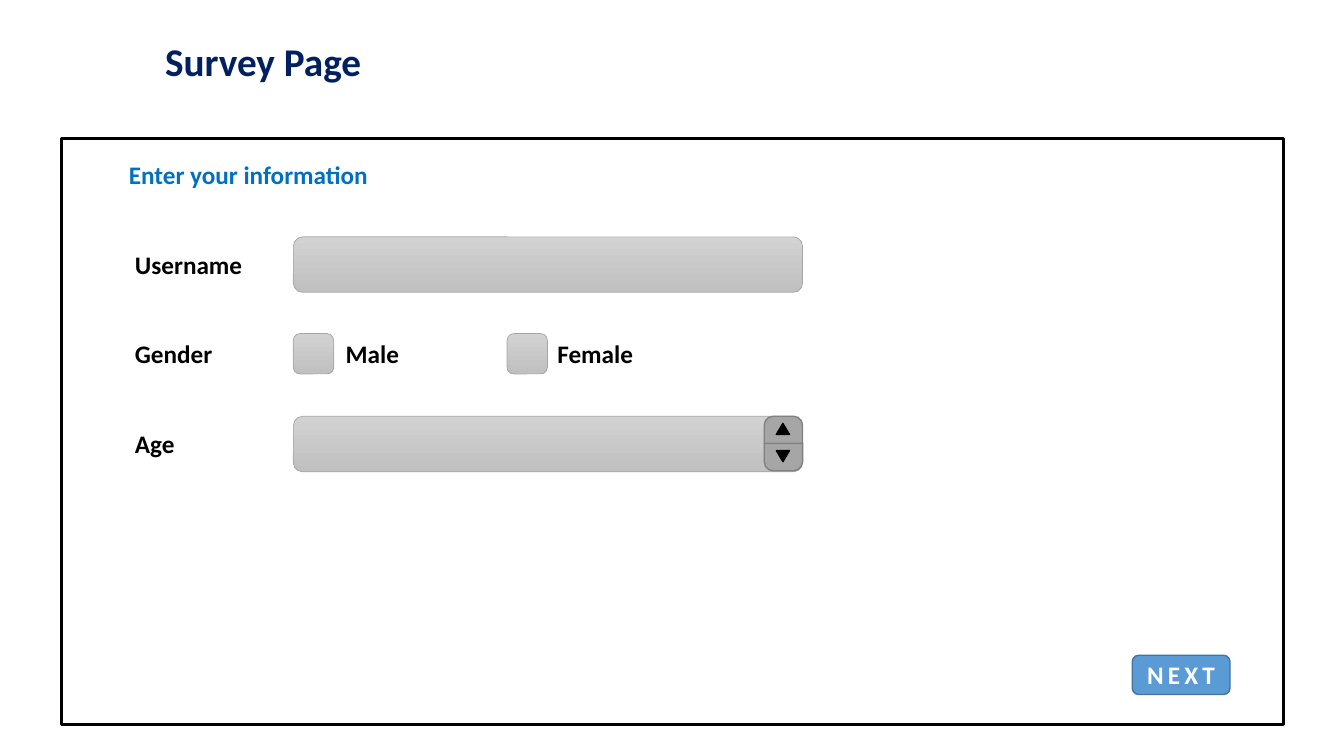
from pptx import Presentation
from pptx.dml.color import RGBColor
from pptx.enum import shapes, text
from pptx.util import Inches, Pt

BLACK = RGBColor(0, 0, 0)
WHITE = RGBColor(255, 255, 255)
NAVY = RGBColor(0x00, 0x20, 0x60)
BLUE = RGBColor(0x00, 0x70, 0xC0)
SKY = RGBColor(0x5B, 0x9B, 0xD5)
STEEL = RGBColor(0x43, 0x73, 0x9E)
PALE = RGBColor(0xD2, 0xD2, 0xD2)
SILVER = RGBColor(0xC0, 0xC0, 0xC0)
GRAY = RGBColor(0xA6, 0xA6, 0xA6)
RIM = RGBColor(0xA5, 0xA5, 0xA5)
EDGE = RGBColor(0x80, 0x80, 0x80)

KIND = shapes.MSO_SHAPE
LEFT = 1.24
FIELD = 2.91
WIDE, HIGH = 5.05, 0.55
BOX = 0.4


def style(para, size, color):
    font = para.runs[0].font
    font.name = "Calibri"
    font.size = Pt(size)
    font.bold = True
    font.color.rgb = color


def add_label(slide, words, x, y, w, h=0.4, size=18, color=BLACK):
    box = slide.shapes.add_textbox(Inches(x), Inches(y), Inches(w), Inches(h))
    frame = box.text_frame
    frame.word_wrap = False
    frame.auto_size = text.MSO_AUTO_SIZE.SHAPE_TO_FIT_TEXT
    frame.text = words
    style(frame.paragraphs[0], size, color)


def add_block(slide, kind, x, y, w, h, fill, line, weight=1):
    """Add a preset shape; a fill of None leaves it hollow."""
    block = slide.shapes.add_shape(kind, Inches(x), Inches(y), Inches(w), Inches(h))
    block.shadow.inherit = False
    if fill is None:
        block.fill.background()
    else:
        block.fill.solid()
        block.fill.fore_color.rgb = fill
    block.line.color.rgb = line
    block.line.width = Pt(weight)
    return block


def add_field(slide, x, y, w, h):
    """Add a rounded input with a top-to-bottom gray gradient."""
    field = add_block(slide, KIND.ROUNDED_RECTANGLE, x, y, w, h, PALE, RIM, 0.5)
    field.fill.gradient()
    field.fill.gradient_angle = 270
    for stop, color in zip(field.fill.gradient_stops, (PALE, SILVER)):
        stop.color.rgb = color


def add_spinner(slide, x, y):
    """Add the up and down halves, the lower one turned over."""
    half = 0.27
    for row, turn in enumerate((0, 180)):
        top = y + row * half
        key = add_block(slide, KIND.ROUND_2_SAME_RECTANGLE,
                        x, top, 0.38, half, GRAY, EDGE)
        key.adjustments[0] = 0.33
        key.rotation = turn
        arrow = add_block(slide, KIND.ISOSCELES_TRIANGLE,
                          x + 0.12, top + 0.07, 0.13, 0.11, BLACK, BLACK)
        arrow.rotation = turn


def add_button(slide, words, x, y, w, h):
    button = add_block(slide, KIND.ROUNDED_RECTANGLE, x, y, w, h, SKY, STEEL)
    frame = button.text_frame
    frame.text = words
    frame.vertical_anchor = text.MSO_ANCHOR.MIDDLE
    para = frame.paragraphs[0]
    para.alignment = text.PP_ALIGN.CENTER
    style(para, 18, WHITE)
    para.runs[0].font._element.set("spc", "300")


def main():
    deck = Presentation()
    deck.slide_width, deck.slide_height = Inches(13.33), Inches(7.5)
    slide = deck.slides.add_slide(deck.slide_layouts[6])

    add_label(slide, "Survey Page", 1.54, 0.32, 2.17, 0.57, 28, NAVY)
    add_block(slide, KIND.RECTANGLE, 0.61, 1.37, 12.12, 5.82, None, BLACK, 2.25)
    add_label(slide, "Enter your information", 1.18, 1.53, 2.59, color=BLUE)

    rows = (("Username", 1.27), ("Gender", 0.98), ("Age", 0.6))
    for row, (name, w) in enumerate(rows):
        add_label(slide, name, LEFT, 2.42 + row * 0.89, w)

    for y in (2.35, 4.13):
        add_field(slide, FIELD, y, WIDE, HIGH)
    for x in (FIELD, 5.03):
        add_field(slide, x, 3.31, BOX, BOX)
    add_label(slide, "Male", 3.33, 3.31, 0.73)
    add_label(slide, "Female", 5.43, 3.31, 0.96)

    add_spinner(slide, 7.58, 4.13)
    add_button(slide, "NEXT", 11.23, 6.5, 0.97, 0.39)
    deck.save("out.pptx")


if __name__ == "__main__":
    main()
